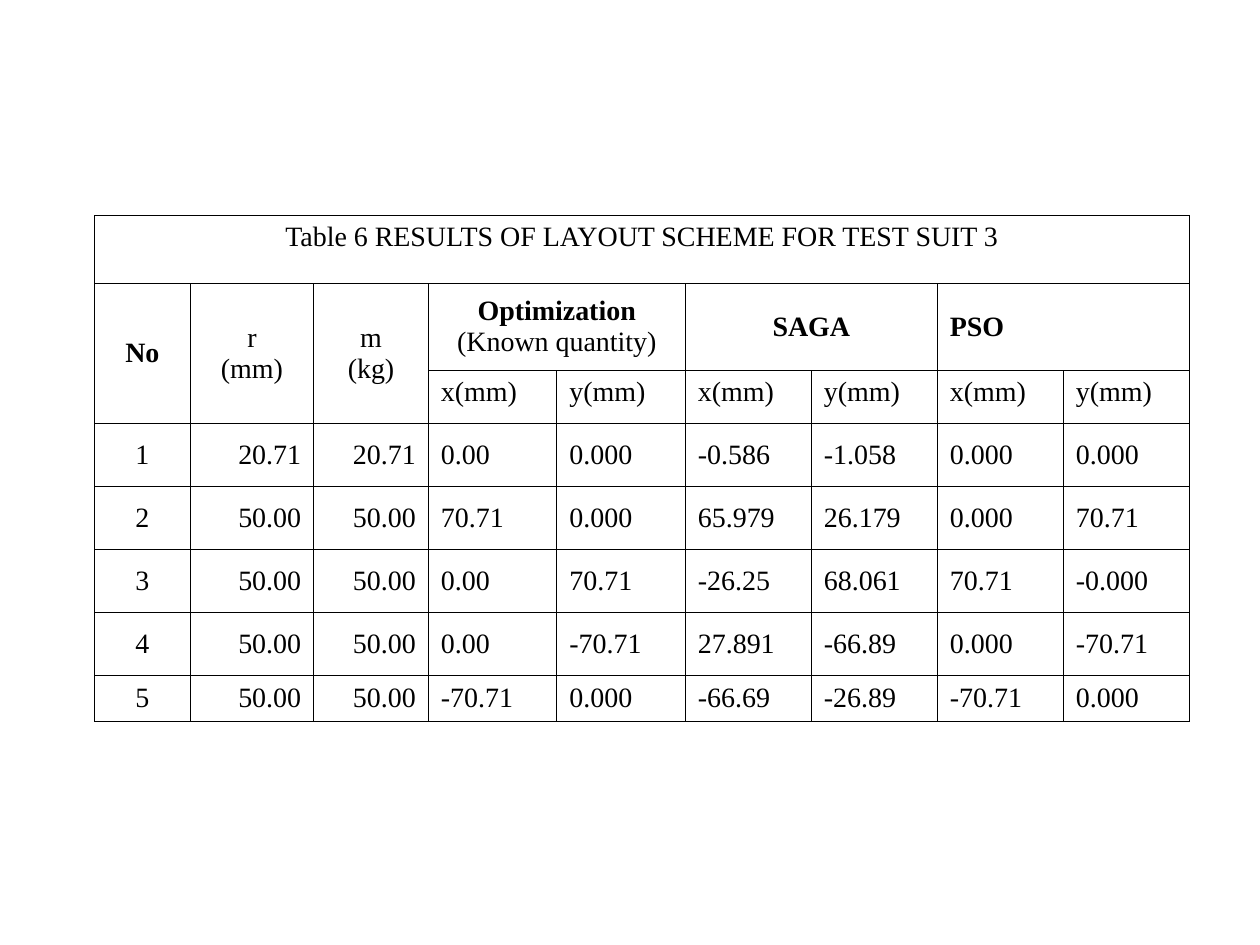
from lxml.etree import SubElement as Sub
from pptx import Presentation
from pptx.dml.color import RGBColor
from pptx.enum.text import MSO_ANCHOR as Anchor, PP_ALIGN as Align
from pptx.oxml.ns import qn
from pptx.util import Inches, Pt

# Content: (row, column, rows spanned, columns spanned, text, bold first line)
HEADS = [
    (0, 0, 1, 9, "Table 6 RESULTS OF LAYOUT SCHEME FOR TEST SUIT 3", False),
    (1, 0, 2, 1, "No", True),
    (1, 1, 2, 1, "r\n(mm)", False),
    (1, 2, 2, 1, "m\n(kg)", False),
    (1, 3, 1, 2, "Optimization\n(Known quantity)", True),
    (1, 5, 1, 2, "SAGA", True),
    (1, 7, 1, 2, "PSO", True),
]
UNITS = ["x(mm)", "y(mm)"] * 3
DATA = [
    ("1", "20.71", "20.71", "0.00", "0.000", "-0.586", "-1.058", "0.000", "0.000"),
    ("2", "50.00", "50.00", "70.71", "0.000", "65.979", "26.179", "0.000", "70.71"),
    ("3", "50.00", "50.00", "0.00", "70.71", "-26.25", "68.061", "70.71", "-0.000"),
    ("4", "50.00", "50.00", "0.00", "-70.71", "27.891", "-66.89", "0.000", "-70.71"),
    ("5", "50.00", "50.00", "-70.71", "0.000", "-66.69", "-26.89", "-70.71", "0.000"),
]

# Theme and grid
THEME = {"font": "Times New Roman", "size": Pt(16), "ink": "000000",
         "line": Pt(0.45), "edge": Pt(0.34), "hang": Inches(0.38)}
LEFT, TOP = 0.75, 1.71
COLS = [0.76, 0.98, 0.91, 1.02, 1.02, 1, 1, 1, 1]
ROWS = [0.54, 0.69, 0.42] + [0.5] * 4 + [0.37]
ALIGN = [Align.CENTER] + [Align.RIGHT] * 2 + [Align.LEFT] * 6


def write(cell, text, align, anchor=Anchor.MIDDLE, bold=False):
    cell.text_frame.text = text
    cell.vertical_anchor = anchor
    for i, para in enumerate(cell.text_frame.paragraphs):
        para.alignment = align
        props = para._p.get_or_add_pPr()
        props.set("marL", str(THEME["hang"]))
        props.set("indent", str(-THEME["hang"]))
        for run in para.runs:
            font = run.font
            font.name, font.size = THEME["font"], THEME["size"]
            font.color.rgb = RGBColor.from_string(THEME["ink"])
            font.bold = bold and i == 0


def frame(cell, title):
    props = cell._tc.get_or_add_tcPr()
    for side in ("lnL", "lnR", "lnT", "lnB"):
        thin = title and side != "lnB"
        line = Sub(props, qn("a:" + side), w=str(THEME["edge" if thin else "line"]))
        fill = Sub(line, qn("a:solidFill"))
        Sub(fill, qn("a:srgbClr"), val=THEME["ink"])
    cell.fill.background()


# Slide and empty table
deck = Presentation()
deck.slide_width, deck.slide_height = Inches(10), Inches(7.5)
slide = deck.slides.add_slide(deck.slide_layouts[6])
box = (LEFT, TOP, sum(COLS), sum(ROWS))
table = slide.shapes.add_table(len(ROWS), len(COLS), *map(Inches, box)).table
table.first_row = table.horz_banding = False
for col, width in zip(table.columns, COLS):
    col.width = Inches(width)
for row, height in zip(table.rows, ROWS):
    row.height = Inches(height)
for r in range(len(ROWS)):
    for c in range(len(COLS)):
        frame(table.cell(r, c), r == 0)

# Title and headings
for r, c, down, across, text, bold in HEADS:
    cell = table.cell(r, c)
    cell.merge(table.cell(r + down - 1, c + across - 1))
    write(cell, text, Align.LEFT if text == "PSO" else Align.CENTER,
          Anchor.TOP if r == 0 else Anchor.MIDDLE, bold)
for c, text in enumerate(UNITS, 3):
    write(table.cell(2, c), text, Align.LEFT, Anchor.TOP)

# Results
for r, values in enumerate(DATA, 3):
    for c, text in enumerate(values):
        write(table.cell(r, c), text, ALIGN[c])

deck.save("out.pptx")
